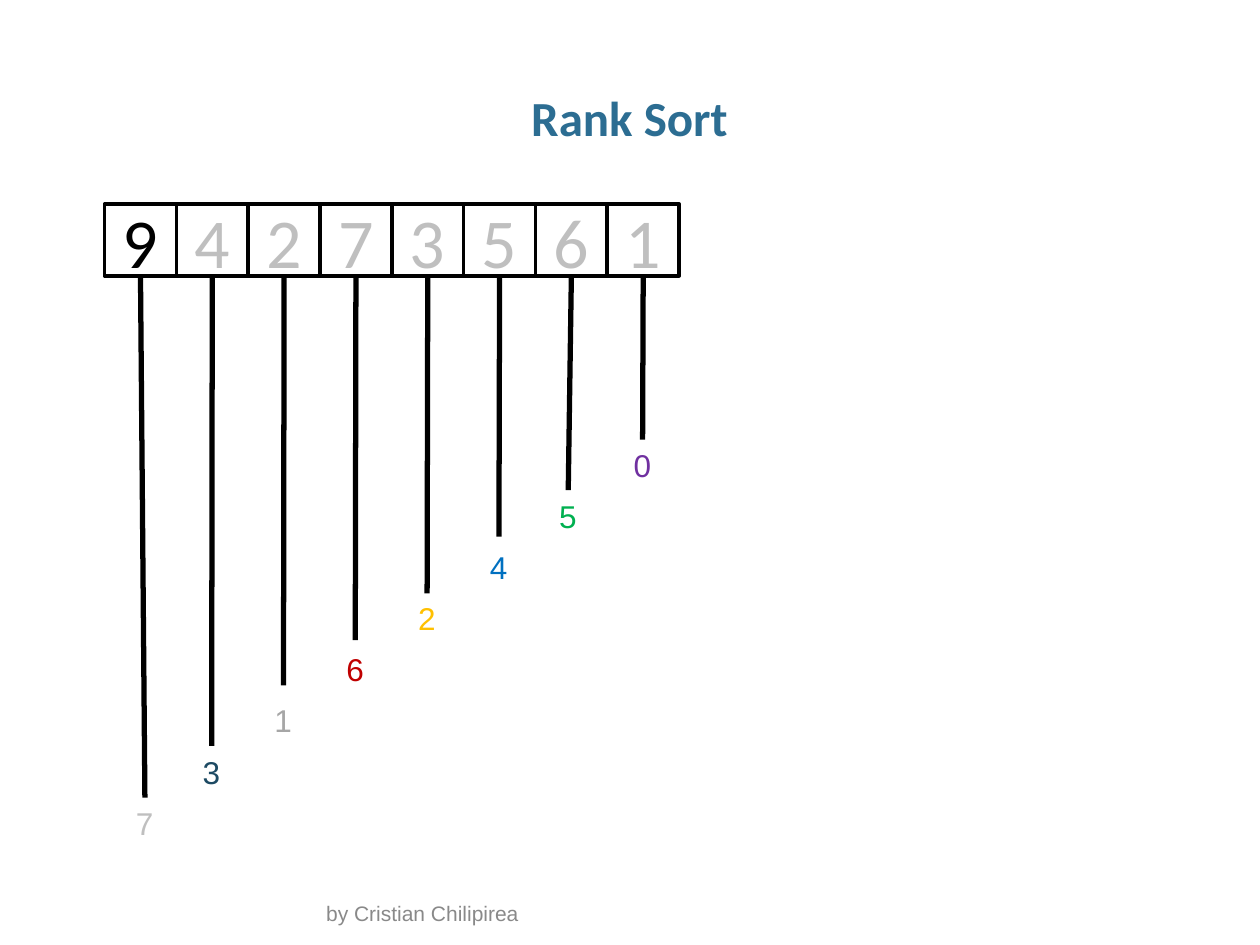
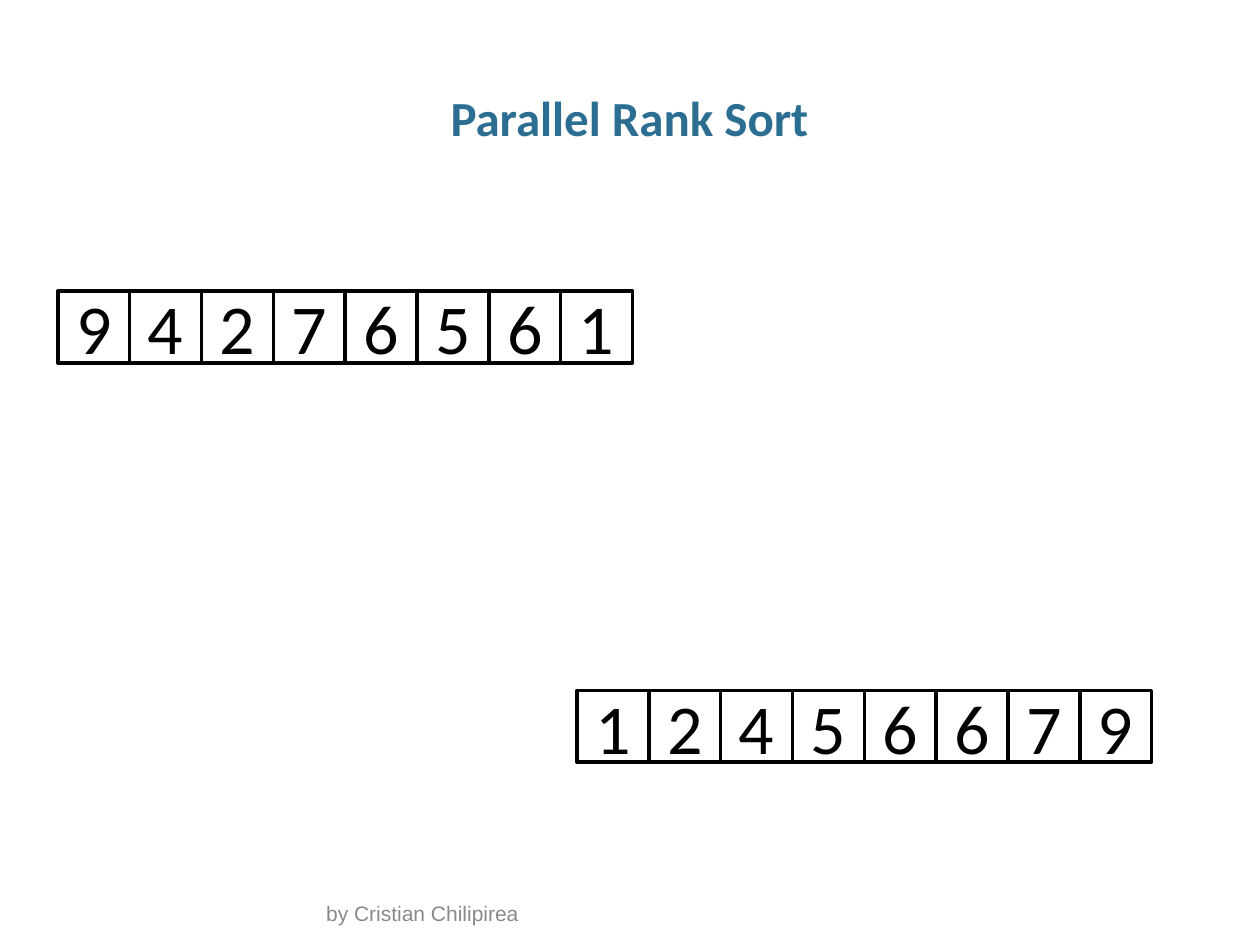
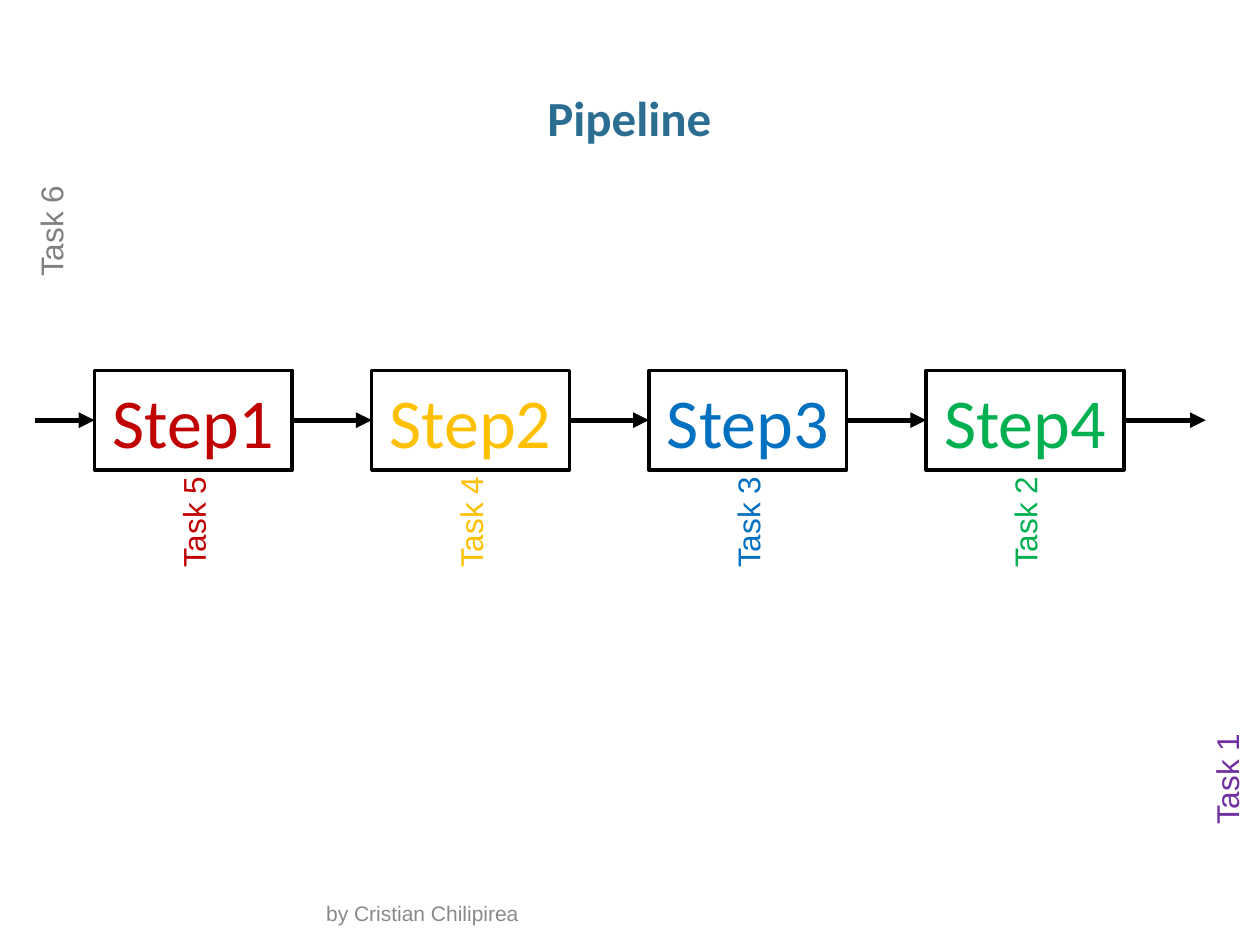
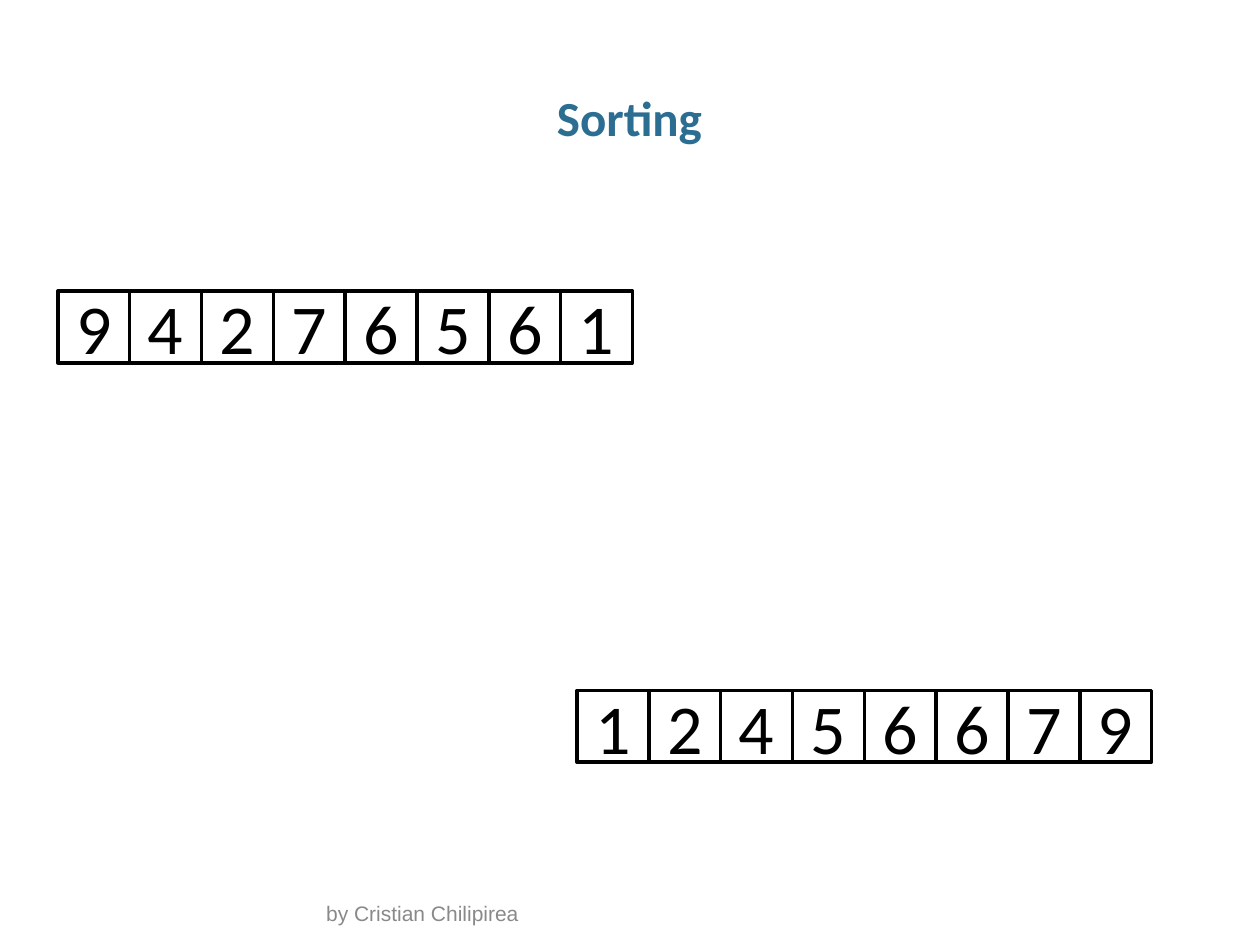
from lxml.etree import SubElement
from pptx import Presentation
from pptx.dml.color import RGBColor
from pptx.enum.shapes import MSO_CONNECTOR, MSO_SHAPE
from pptx.enum.text import MSO_ANCHOR, MSO_AUTO_SIZE, PP_ALIGN
from pptx.oxml.ns import qn
from pptx.util import Inches, Pt

BLACK = "000000"
TITLE_BLUE = "2C6D92"
FOOTER_GRAY = "898989"
LIGHT_GRAY = "BFBFBF"
RED, YELLOW, BLUE, GREEN, PURPLE = "C00000", "FFC000", "0070C0", "00B050", "7030A0"

CELL = 0.57
LABEL_H = 0.4


def rgb(value):
    return RGBColor.from_string(value)


def write(tf, text, size=18, font="Arial", color=BLACK, bold=False,
          align=PP_ALIGN.LEFT, anchor=MSO_ANCHOR.TOP, spacing=None, wrap=True):
    tf.word_wrap = wrap
    tf.vertical_anchor = anchor
    p = tf.paragraphs[0]
    p.alignment = align
    if spacing:
        p.line_spacing = spacing
    r = p.add_run()
    r.text = text
    r.font.size = Pt(size)
    r.font.name = font
    r.font.bold = bold
    r.font.color.rgb = rgb(color)


class Deck:
    def __init__(self):
        self.prs = Presentation()
        self.prs.slide_width = Inches(10)
        self.prs.slide_height = Inches(7.5)
        self.slide = None

    def add_slide(self, title):
        self.slide = self.prs.slides.add_slide(self.prs.slide_layouts[6])
        self.text("by Cristian Chilipirea", 2.49, 7.16, 5.02, 0.24,
                  size=12, color=FOOTER_GRAY, anchor=MSO_ANCHOR.BOTTOM)
        sp = self.text(title, 0.34, 0.68, 9.31, 0.5, size=28, font="Calibri",
                       color=TITLE_BLUE, bold=True, align=PP_ALIGN.CENTER, spacing=0.95)
        sp.text_frame.margin_left = sp.text_frame.margin_right = 0

    def text(self, text, x, y, w, h, **fmt):
        sp = self.slide.shapes.add_textbox(Inches(x), Inches(y), Inches(w), Inches(h))
        write(sp.text_frame, text, **fmt)
        return sp

    def label(self, text, x, y, w, color, rotation=0):
        """Add a one-line text whose frame fits its content."""
        sp = self.text(text, x, y, w, LABEL_H, color=color, wrap=False)
        sp.text_frame.auto_size = MSO_AUTO_SIZE.SHAPE_TO_FIT_TEXT
        sp.rotation = rotation

    def box(self, text, x, y, w, h, color=BLACK):
        sp = self.slide.shapes.add_shape(
            MSO_SHAPE.RECTANGLE, Inches(x), Inches(y), Inches(w), Inches(h))
        sp.shadow.inherit = False
        sp.fill.background()
        sp.line.color.rgb = rgb(BLACK)
        sp.line.width = Pt(2)
        write(sp.text_frame, text, size=40, font="Calibri", color=color,
              align=PP_ALIGN.CENTER, anchor=MSO_ANCHOR.MIDDLE)

    def array(self, digits, x, y, colors=None):
        """Add a row of touching cells, one per digit."""
        for i, digit in enumerate(digits):
            self.box(digit, x + i * CELL, y, CELL, CELL, colors[i] if colors else BLACK)

    def line(self, x1, y1, x2, y2, arrow=False):
        cxn = self.slide.shapes.add_connector(
            MSO_CONNECTOR.STRAIGHT, Inches(x1), Inches(y1), Inches(x2), Inches(y2))
        cxn.line.color.rgb = rgb(BLACK)
        cxn.line.width = Pt(3)
        if arrow:
            SubElement(cxn.line._get_or_add_ln(), qn("a:tailEnd"), type="triangle")
        SubElement(cxn._element.spPr, qn("a:effectLst"))


def rank_sort(deck):
    deck.add_slide("Rank Sort")
    left, top = 0.83, 1.62
    deck.array("94273561", left, top, [BLACK] + [LIGHT_GRAY] * 7)
    # rank, colour, end of the line
    ranks = [
        ("7", LIGHT_GRAY, 1.15, 6.33),
        ("3", "1D4A63", 1.68, 5.92),
        ("1", "A6A6A6", 2.25, 5.44),
        ("6", RED, 2.82, 5.08),
        ("2", YELLOW, 3.39, 4.71),
        ("4", BLUE, 3.96, 4.26),
        ("5", GREEN, 4.51, 3.89),
        ("0", PURPLE, 5.1, 3.49),
    ]
    first_y, last_y, label_w = 6.33, 3.49, 0.34
    step = (last_y - first_y) / (len(ranks) - 1)
    for i, (rank, color, end_x, end_y) in enumerate(ranks):
        deck.label(rank, end_x - label_w / 2, first_y + i * step, label_w, color)
        deck.line(left + (i + 0.5) * CELL, top + CELL, end_x, end_y)


def before_and_after(deck, title):
    deck.add_slide(title)
    deck.array("94276561", 0.46, 2.31)
    deck.array("12456679", 4.58, 5.48)


def pipeline(deck):
    deck.add_slide("Pipeline")
    left, top, w, h, pitch = 0.75, 2.94, 1.57, 0.79, 2.2
    task_w = 0.93
    colors = [RED, YELLOW, BLUE, GREEN]
    lefts = [left + i * pitch for i in range(len(colors))]
    for i, (x, color) in enumerate(zip(lefts, colors)):
        deck.box(f"Step{i + 1}", x, top, w, h, color)
        deck.label(f"Task {5 - i}", x + (w - task_w) / 2, 3.94, task_w, color, 270)

    starts = [0.28] + [x + w for x in lefts]
    ends = lefts + [9.57]
    mid = top + h / 2
    for start, end in zip(starts, ends):
        deck.line(start, mid, end, mid, arrow=True)

    deck.label("Task 1", 9.27, 5.98, task_w, PURPLE, 270)
    deck.label("Task 6", -0.06, 1.63, task_w, "808080", 270)


def main():
    deck = Deck()
    rank_sort(deck)
    before_and_after(deck, "Parallel Rank Sort")
    pipeline(deck)
    before_and_after(deck, "Sorting")
    deck.prs.save("out.pptx")


if __name__ == "__main__":
    main()
